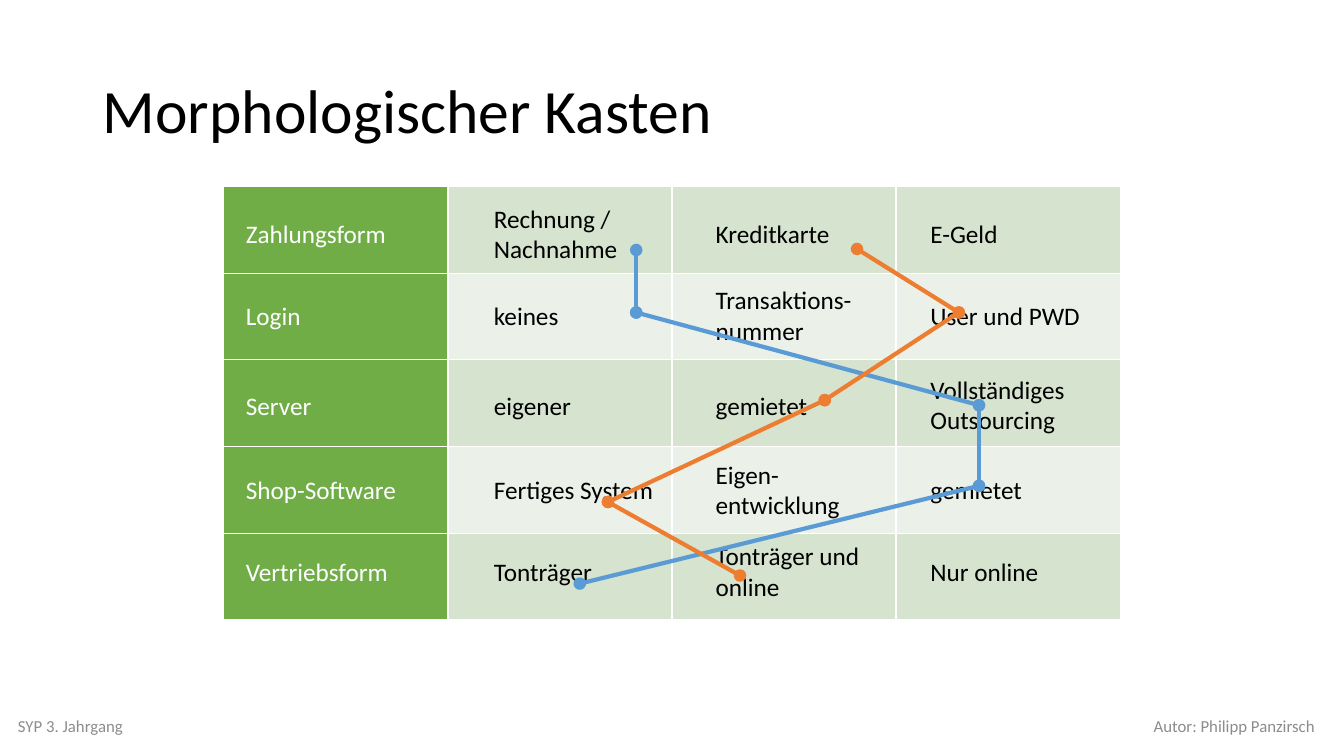
from itertools import pairwise

from lxml.etree import SubElement
from pptx import Presentation
from pptx.dml.color import RGBColor
from pptx.enum.shapes import MSO_CONNECTOR
from pptx.enum.text import MSO_ANCHOR, MSO_AUTO_SIZE, PP_ALIGN
from pptx.oxml.ns import qn
from pptx.util import Inches, Pt

FONT = "Calibri"
BLACK = RGBColor(0x00, 0x00, 0x00)
WHITE = RGBColor(0xFF, 0xFF, 0xFF)
GRAY = RGBColor(0x8C, 0x8C, 0x8C)
GREEN = RGBColor(0x70, 0xAD, 0x47)
BANDS = RGBColor(0xD5, 0xE3, 0xCF), RGBColor(0xEB, 0xF1, 0xE9)
BLUE = RGBColor(0x5B, 0x9B, 0xD5)
ORANGE = RGBColor(0xED, 0x7D, 0x31)

OPTIONS = [
    ["Zahlungsform", "Rechnung / Nachnahme", "Kreditkarte", "E-Geld"],
    ["Login", "keines", "Transaktions-nummer", "User und PWD"],
    ["Server", "eigener", "gemietet", "Vollständiges Outsourcing"],
    ["Shop-Software", "Fertiges System", "Eigen-entwicklung", "gemietet"],
    ["Vertriebsform", "Tonträger", "Tonträger und online", "Nur online"],
]
LEFTS = 2.34, 4.8, 7, 9.13
MIDDLES = 2.32, 3.13, 4.02, 4.86, 5.67
LINE_MAX = 15  # characters that fit on one line of a label

BLUE_ROUTE = [(6.31, 2.48), (6.31, 3.1), (9.71, 4.02), (9.71, 4.82), (5.75, 5.79)]
ORANGE_ROUTE = [(8.5, 2.47), (9.51, 3.1), (8.18, 3.97), (6.03, 4.98), (7.34, 5.71)]


def style(para, size, color, align=PP_ALIGN.LEFT):
    para.alignment = align
    para.font.name = FONT
    para.font.size = Pt(size)
    para.font.color.rgb = color


def add_title(slide, text):
    title = slide.shapes.title
    title.left, title.top = Inches(0.92), Inches(0.4)
    title.width, title.height = Inches(11.5), Inches(1.45)
    frame = title.text_frame
    frame.text = text
    frame.vertical_anchor = MSO_ANCHOR.MIDDLE
    frame.paragraphs[0].line_spacing = 0.9
    style(frame.paragraphs[0], 44, BLACK)


def add_text(slide, text, left, top, width, height, size, color, align=PP_ALIGN.LEFT):
    box = slide.shapes.add_textbox(
        Inches(left), Inches(top), Inches(width), Inches(height))
    frame = box.text_frame
    frame.word_wrap = True
    frame.text = text
    style(frame.paragraphs[0], size, color, align)
    return frame


def add_footer(slide, text, left, align):
    frame = add_text(slide, text, left, 7, 4.5, 0.4, 12, GRAY, align)
    frame.vertical_anchor = MSO_ANCHOR.MIDDLE


def add_label(slide, text, left, middle, color):
    height = 0.71 if len(text) > LINE_MAX else 0.4
    frame = add_text(slide, text, left, middle - height / 2, 1.87, height, 18, color)
    frame.auto_size = MSO_AUTO_SIZE.SHAPE_TO_FIT_TEXT


def set_borders(cell):
    props = cell._tc.get_or_add_tcPr()
    for side in ("a:lnL", "a:lnR", "a:lnT", "a:lnB"):
        line = SubElement(props, qn(side), w=str(Pt(1)))
        fill = SubElement(line, qn("a:solidFill"))
        SubElement(fill, qn("a:srgbClr"), val=str(WHITE))


def add_grid(slide):
    rows, cols = len(OPTIONS), len(LEFTS)
    table = slide.shapes.add_table(
        rows, cols, Inches(2.22), Inches(1.85), Inches(8.89), Inches(4.3)).table
    table.first_row = table.horz_banding = False
    for row in range(rows):
        for col in range(cols):
            cell = table.cell(row, col)
            set_borders(cell)
            cell.fill.solid()
            cell.fill.fore_color.rgb = BANDS[row % 2] if col else GREEN


def add_route(slide, points, color):
    """Join the chosen options with lines that have a dot at each end."""
    for start, end in pairwise(points):
        link = slide.shapes.add_connector(
            MSO_CONNECTOR.STRAIGHT, *map(Inches, start + end))
        link.line.color.rgb = color
        link.line.width = Pt(3)
        line = link.line._get_or_add_ln()
        for tip in ("a:headEnd", "a:tailEnd"):
            SubElement(line, qn(tip), type="oval")
        SubElement(link._element.spPr, qn("a:effectLst"))


def main():
    deck = Presentation()
    deck.slide_width, deck.slide_height = Inches(13.33), Inches(7.5)
    slide = deck.slides.add_slide(deck.slide_layouts[5])
    add_title(slide, "Morphologischer Kasten")
    add_footer(slide, "SYP 3. Jahrgang", 0.08, PP_ALIGN.LEFT)
    add_footer(slide, "Autor: Philipp Panzirsch", 8.64, PP_ALIGN.RIGHT)
    add_grid(slide)
    for middle, texts in zip(MIDDLES, OPTIONS):
        for col, (left, text) in enumerate(zip(LEFTS, texts)):
            add_label(slide, text, left, middle, BLACK if col else WHITE)
    add_route(slide, BLUE_ROUTE, BLUE)
    add_route(slide, ORANGE_ROUTE, ORANGE)
    deck.save("out.pptx")


if __name__ == "__main__":
    main()
